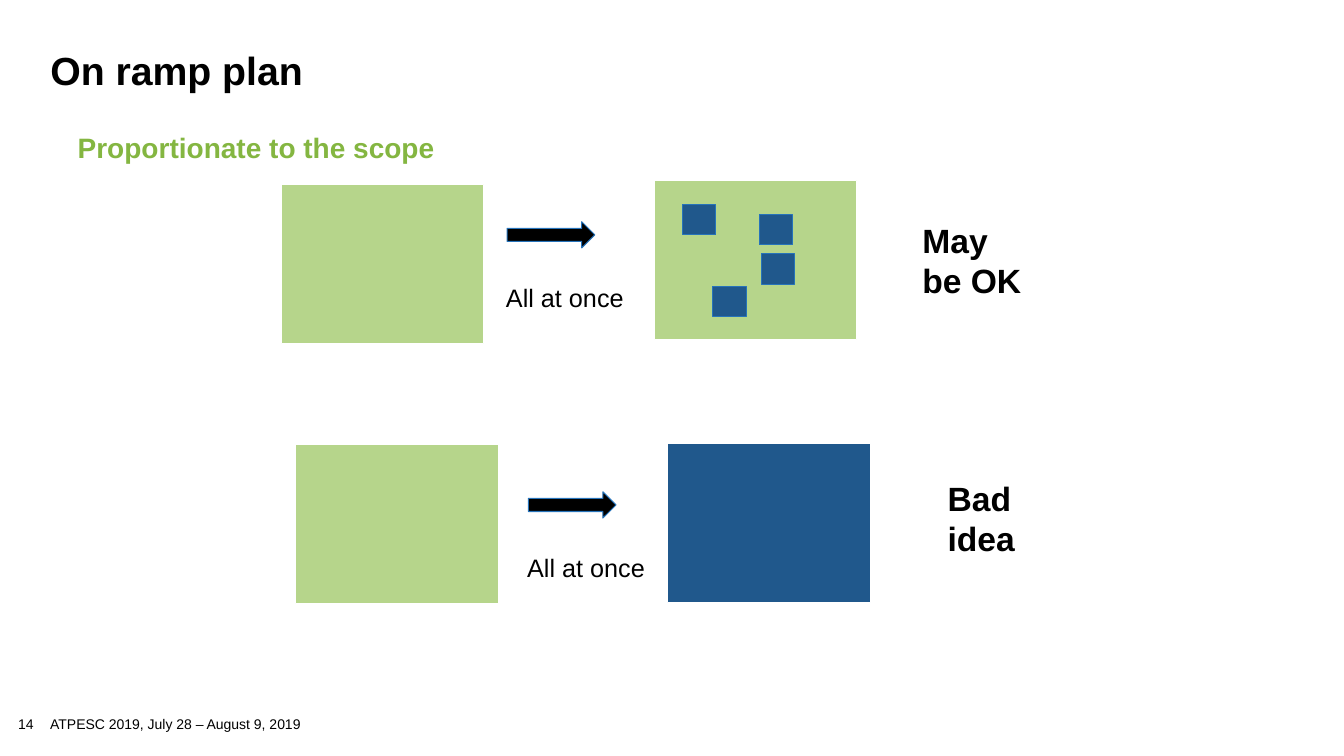
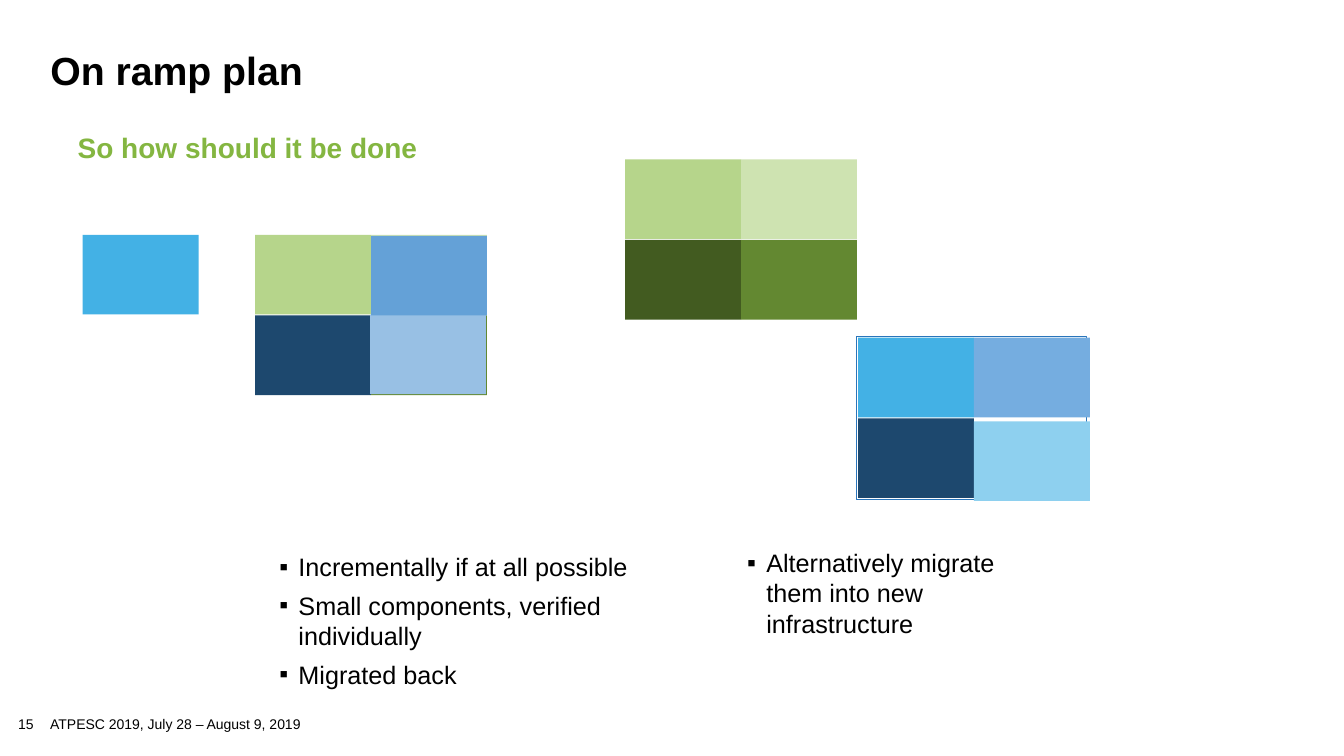
from lxml import etree
from pptx import Presentation
from pptx.dml.color import RGBColor
from pptx.enum.shapes import MSO_SHAPE
from pptx.enum.text import MSO_ANCHOR, MSO_AUTO_SIZE, PP_ALIGN
from pptx.oxml.ns import qn
from pptx.util import Inches, Pt

FONT = "Arial"
BLACK = RGBColor(0x00, 0x00, 0x00)
WHITE = RGBColor(0xFF, 0xFF, 0xFF)
HEADING_GREEN = RGBColor(0x84, 0xB6, 0x41)
LIGHT_GREEN = RGBColor(0xB6, 0xD5, 0x8B)
PALE_GREEN = RGBColor(0xCE, 0xE3, 0xB1)
MID_GREEN = RGBColor(0x63, 0x88, 0x31)
DARK_GREEN = RGBColor(0x42, 0x5B, 0x20)
DEEP_BLUE = RGBColor(0x20, 0x58, 0x8C)
OUTLINE_BLUE = RGBColor(0x26, 0x73, 0xBA)
FRAME_BLUE = RGBColor(0x2A, 0x75, 0xBB)
SKY_BLUE = RGBColor(0x43, 0xB1, 0xE5)
NAVY = RGBColor(0x1D, 0x48, 0x6E)
PALE_BLUE = RGBColor(0x98, 0xC0, 0xE4)
SOFT_BLUE = RGBColor(0x64, 0xA1, 0xD7)
PERIWINKLE = RGBColor(0x75, 0xAD, 0xE0)
ICE_BLUE = RGBColor(0x8E, 0xD0, 0xEF)

CODE_SIZE = (2.01, 1.58)
PATCH_SIZE = (0.33, 0.3)
ARROW_SIZE = (0.87, 0.26)
TILE_SIZE = (1.15, 0.79)
TILE_PITCH = (1.15, 0.8)

TITLE_LAYOUT = 1
COMPARISON_LAYOUT = 4


def place(shape, left, top, width, height):
    shape.left, shape.top = Inches(left), Inches(top)
    shape.width, shape.height = Inches(width), Inches(height)


def set_insets(frame, left, top, right, bottom):
    frame.margin_left, frame.margin_top = Inches(left), Inches(top)
    frame.margin_right, frame.margin_bottom = Inches(right), Inches(bottom)


def write(frame, text, size, color=BLACK, bold=False, spacing=1.0, before=0):
    frame.text = text
    for paragraph in frame.paragraphs:
        paragraph.alignment = PP_ALIGN.LEFT
        paragraph.line_spacing = spacing
        paragraph.space_before = Pt(before)
        for run in paragraph.runs:
            run.font.name = FONT
            run.font.size = Pt(size)
            run.font.bold = bold
            run.font.color.rgb = color


def set_bullet(paragraph, char=None, indent=0):
    properties = paragraph._p.get_or_add_pPr()
    properties.set("marL", str(Inches(indent)))
    properties.set("indent", str(-Inches(indent)))
    if char:
        etree.SubElement(properties, qn("a:buFont")).set("typeface", FONT)
        etree.SubElement(properties, qn("a:buChar")).set("char", char)
    else:
        etree.SubElement(properties, qn("a:buNone"))


def fill_placeholder(placeholder, box, anchor, insets, text, size, **style):
    place(placeholder, *box)
    frame = placeholder.text_frame
    frame.word_wrap = True
    frame.auto_size = MSO_AUTO_SIZE.NONE
    frame.vertical_anchor = anchor
    set_insets(frame, *insets)
    write(frame, text, size, **style)
    return frame


def add_text(slide, box, text, size, bold=False, wrap=True, grow=True):
    label = slide.shapes.add_textbox(*map(Inches, box))
    frame = label.text_frame
    frame.word_wrap = wrap
    frame.auto_size = MSO_AUTO_SIZE.SHAPE_TO_FIT_TEXT if grow else MSO_AUTO_SIZE.NONE
    write(frame, text, size, bold=bold)
    return frame


def add_block(slide, position, size, fill, line=None, preset=MSO_SHAPE.RECTANGLE):
    block = slide.shapes.add_shape(preset, *map(Inches, (*position, *size)))
    block.shadow.inherit = False
    block.fill.solid()
    block.fill.fore_color.rgb = fill
    if line is None:
        block.line.fill.background()
    else:
        block.line.color.rgb = line
        block.line.width = Pt(0.75)


def add_tiles(slide, left, top, colors):
    for index, color in enumerate(colors):
        row, column = divmod(index, 2)
        position = (left + column * TILE_PITCH[0], top + row * TILE_PITCH[1])
        add_block(slide, position, TILE_SIZE, color)


def add_plan_slide(presentation, layout, number, subtitle):
    slide = presentation.slides.add_slide(presentation.slide_layouts[layout])
    fill_placeholder(slide.shapes.title, (0.4, 0.45, 12.44, 0.56), MSO_ANCHOR.MIDDLE,
                     (0.1, 0.05, 0.1, 0.05), "On ramp plan", 28, bold=True, spacing=0.85)
    heading = fill_placeholder(slide.placeholders[1], (0.67, 1.28, 12.21, 0.55),
                               MSO_ANCHOR.TOP, (0.1, 0.05, 0.1, 0), subtitle, 20,
                               color=HEADING_GREEN, bold=True, spacing=0.9)
    set_bullet(heading.paragraphs[0])
    page = add_text(slide, (0.18, 7.12, 0.56, 0.16), str(number), 10, grow=False)
    set_insets(page, 0, 0, 0, 0)
    page.paragraphs[0].line_spacing = 0.9
    event = add_text(slide, (0.4, 7.08, 3.63, 0.2),
                     "ATPESC 2019, July 28 – August 9, 2019", 10, grow=False)
    event.vertical_anchor = MSO_ANCHOR.MIDDLE
    return slide


def add_migration(slide, before, arrow, after, after_fill, verdict, verdict_at):
    add_block(slide, before, CODE_SIZE, LIGHT_GREEN, WHITE)
    add_block(slide, arrow, ARROW_SIZE, BLACK, OUTLINE_BLUE, MSO_SHAPE.RIGHT_ARROW)
    add_text(slide, (arrow[0] - 0.11, arrow[1] + 0.55, 1.39, 0.4),
             "All at once", 18, wrap=False)
    add_block(slide, after, CODE_SIZE, after_fill, WHITE)
    add_text(slide, (*verdict_at, 1.27, 0.91), verdict, 24, bold=True)


def add_list(placeholder, box, items):
    frame = fill_placeholder(placeholder, box, MSO_ANCHOR.TOP, (0, 0, 0, 0.05),
                             "\n".join(items), 18, before=6)
    for paragraph in frame.paragraphs:
        set_bullet(paragraph, "▪", 0.19)


def build_scope_slide(presentation):
    slide = add_plan_slide(presentation, TITLE_LAYOUT, 14, "Proportionate to the scope")
    add_migration(slide, (2.79, 1.83), (5.03, 2.2), (6.49, 1.79), LIGHT_GREEN,
                  "May be OK", (9.05, 2.13))
    for patch in ((6.77, 2.03), (7.07, 2.84), (7.55, 2.52), (7.53, 2.13)):
        add_block(slide, patch, PATCH_SIZE, DEEP_BLUE, OUTLINE_BLUE)
    add_migration(slide, (2.93, 4.41), (5.24, 4.88), (6.62, 4.4), DEEP_BLUE,
                  "Bad idea", (9.3, 4.69))


def build_method_slide(presentation):
    slide = add_plan_slide(presentation, COMPARISON_LAYOUT, 15, "So how should it be done")
    spare_heading = slide.placeholders[3].element
    spare_heading.getparent().remove(spare_heading)
    add_list(slide.placeholders[2], (2.77, 5.47, 3.74, 1.61),
             ["Incrementally if at all possible",
              "Small components, verified individually",
              "Migrated back"])
    add_list(slide.placeholders[4], (7.41, 5.43, 2.75, 1.77),
             ["Alternatively migrate them into new infrastructure"])

    add_block(slide, (0.82, 2.33), TILE_SIZE, SKY_BLUE)
    add_tiles(slide, 2.53, 2.33, (LIGHT_GREEN, PALE_GREEN, NAVY, MID_GREEN))
    add_block(slide, (3.67, 3.12), TILE_SIZE, PALE_BLUE)
    add_block(slide, (3.68, 2.34), TILE_SIZE, SOFT_BLUE)

    add_tiles(slide, 6.2, 1.58, (LIGHT_GREEN, PALE_GREEN, DARK_GREEN, MID_GREEN))

    add_block(slide, (8.49, 3.34), (2.29, 1.62), WHITE, FRAME_BLUE)
    add_tiles(slide, 8.51, 3.35, (SKY_BLUE, PERIWINKLE, NAVY))
    add_block(slide, (9.66, 4.18), TILE_SIZE, ICE_BLUE)


def main():
    presentation = Presentation()
    presentation.slide_width = Inches(13.33)
    presentation.slide_height = Inches(7.5)
    build_scope_slide(presentation)
    build_method_slide(presentation)
    presentation.save("out.pptx")


if __name__ == "__main__":
    main()
